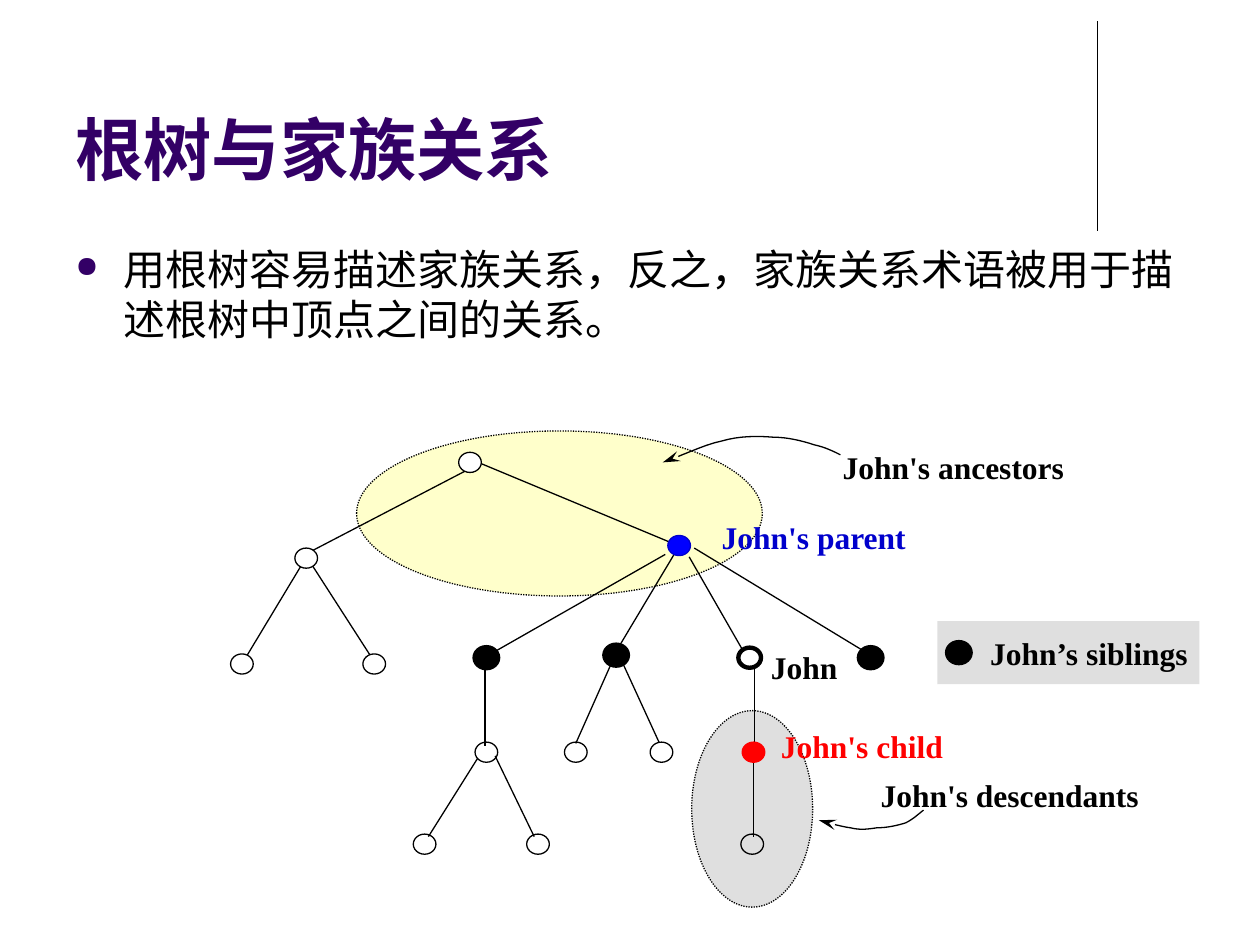
from lxml import etree
from pptx import Presentation
from pptx.dml.color import RGBColor
from pptx.enum.dml import MSO_LINE
from pptx.enum.shapes import MSO_CONNECTOR, MSO_SHAPE
from pptx.enum.text import MSO_ANCHOR, PP_ALIGN
from pptx.oxml.ns import qn
from pptx.util import Inches, Pt

OVAL = MSO_SHAPE.OVAL
RECTANGLE = MSO_SHAPE.RECTANGLE
STRAIGHT = MSO_CONNECTOR.STRAIGHT
DOTTED = MSO_LINE.ROUND_DOT
BOTTOM = MSO_ANCHOR.BOTTOM
LEFT = PP_ALIGN.LEFT
JUSTIFY = PP_ALIGN.JUSTIFY

BLACK = RGBColor(0x00, 0x00, 0x00)
WHITE = RGBColor(0xFF, 0xFF, 0xFF)
PURPLE = RGBColor(0x33, 0x00, 0x66)
GRAY = RGBColor(0xC0, 0xC0, 0xC0)
YELLOW = RGBColor(0xFF, 0xFF, 0x99)
BLUE = RGBColor(0x00, 0x00, 0xFF)
DARK_BLUE = RGBColor(0x00, 0x00, 0xCC)
RED = RGBColor(0xFF, 0x00, 0x00)

prs = Presentation()
prs.slide_width = Inches(10)
prs.slide_height = Inches(7.5)
slide = prs.slides.add_slide(prs.slide_layouts[6])
shapes = slide.shapes


def add_text(box, text, size, font, color, bold):
    left, top, width, height = box
    frame = shapes.add_textbox(Inches(left), Inches(top), Inches(width), Inches(height)).text_frame
    frame.word_wrap = True
    run = frame.paragraphs[0].add_run()
    run.text = text
    run.font.size = Pt(size)
    run.font.name = font
    run.font.bold = bold
    run.font.color.rgb = color
    return frame


def add_figure(kind, box, fill, line, weight):
    left, top, width, height = box
    figure = shapes.add_shape(kind, Inches(left), Inches(top), Inches(width), Inches(height))
    figure.shadow.inherit = False
    if fill is None:
        figure.fill.background()
    else:
        figure.fill.solid()
        figure.fill.fore_color.rgb = fill
    if line is None:
        figure.line.fill.background()
    else:
        figure.line.color.rgb = line
        figure.line.width = Pt(weight)
    return figure


title = add_text((0.5, 0.13, 8.25, 1.42), "根树与家族关系", 39, "Arial", PURPLE, True)
title.vertical_anchor = BOTTOM

body = add_text((0.5, 1.88, 9, 1), "用根树容易描述家族关系，反之，家族关系术语被用于描述根树中顶点之间的关系。",
                24, "Arial", BLACK, False)
bullet = body.paragraphs[0]._p.get_or_add_pPr()
bullet.set("marL", str(Inches(0.38)))
bullet.set("indent", str(Inches(-0.38)))
bullet_color = etree.SubElement(bullet, qn("a:buClr"))
etree.SubElement(bullet_color, qn("a:srgbClr"), val=str(PURPLE))
etree.SubElement(bullet, qn("a:buSzPct"), val="70000")
etree.SubElement(bullet, qn("a:buChar"), char="●")

regions = [
    (OVAL, (5.49, 5.64, 0.96, 1.56), GRAY, BLACK),
    (OVAL, (2.83, 3.42, 3.22, 1.31), YELLOW, BLACK),
    (RECTANGLE, (7.44, 4.93, 2.08, 0.5), GRAY, None),
]
for kind, box, fill, outline in regions:
    region = add_figure(kind, box, fill, outline, 0.75)
    if outline is not None:
        region.line.dash_style = DOTTED
    tint = region._element.spPr.find(qn("a:solidFill"))[0]
    etree.SubElement(tint, qn("a:alpha"), val="50000")

divider = (8.71, 0.17, 8.71, 1.83)
tree_edges = [
    (3.82, 3.68, 5.31, 4.3), (3.69, 3.74, 2.48, 4.37),
    (2.39, 4.49, 1.95, 5.22), (2.48, 4.49, 2.95, 5.22),
    (5.28, 4.4, 3.93, 5.17), (5.35, 4.4, 4.92, 5.12),
    (5.47, 4.42, 5.9, 5.17), (5.51, 4.35, 6.86, 5.17),
    (3.85, 5.28, 3.85, 5.92), (4.85, 5.27, 4.57, 5.9),
    (4.95, 5.28, 5.23, 5.89), (5.99, 5.28, 5.99, 5.9),
    (3.79, 6.02, 3.4, 6.64), (3.93, 6, 4.24, 6.64),
    (5.98, 6.03, 5.98, 6.64),
]
for x1, y1, x2, y2 in [divider] + tree_edges:
    edge = shapes.add_connector(STRAIGHT, Inches(x1), Inches(y1), Inches(x2), Inches(y2))
    edge.line.color.rgb = BLACK
    edge.line.width = Pt(0.75)
    etree.SubElement(edge._element.spPr, qn("a:effectLst"))

node_groups = [
    (WHITE, BLACK, 0.75, [(3.64, 3.59), (2.34, 4.35), (1.83, 5.19), (2.88, 5.19)]),
    (BLUE, DARK_BLUE, 0.75, [(5.3, 4.25)]),
    (BLACK, BLACK, 3, [(3.77, 5.14), (4.8, 5.12), (6.82, 5.14), (7.52, 5.1)]),
    (None, BLACK, 2.5, [(5.86, 5.14)]),
    (RED, RED, 0.75, [(5.89, 5.89)]),
    (None, BLACK, 0.75, [(3.77, 5.89), (4.48, 5.89), (5.16, 5.89),
                         (3.28, 6.62), (4.18, 6.62), (5.88, 6.62)]),
]
for fill, outline, weight, places in node_groups:
    for left, top in places:
        add_figure(OVAL, (left, top, 0.18, 0.16), fill, outline, weight)

labels = [
    ("John", (6.02, 5.09, 0.85, 0.42), BLACK, JUSTIFY),
    ("John's child", (6.1, 5.72, 1.77, 0.42), RED, JUSTIFY),
    ("John's parent", (5.63, 4.06, 1.97, 0.42), DARK_BLUE, JUSTIFY),
    ("John's ancestors", (6.59, 3.51, 2.5, 0.42), BLACK, JUSTIFY),
    ("John's descendants", (6.89, 6.11, 2.58, 0.42), BLACK, JUSTIFY),
    ("John’s siblings", (7.76, 4.98, 1.92, 0.4), BLACK, LEFT),
]
for text, box, color, alignment in labels:
    label = add_text(box, text, 18, "Times New Roman", color, True)
    label.paragraphs[0].alignment = alignment

ancestors_curve = [
    (6.67, 3.61), (6.61, 3.58), (6.55, 3.55), (6.46, 3.53), (6.37, 3.5), (6.25, 3.47), (6.13, 3.47),
    (6.01, 3.46), (5.87, 3.46), (5.73, 3.5), (5.58, 3.53), (5.36, 3.64), (5.26, 3.67),
]
descendants_curve = [
    (7.33, 6.43), (7.29, 6.46), (7.25, 6.5), (7.19, 6.53), (7.13, 6.55), (7.04, 6.57), (6.96, 6.57),
    (6.89, 6.58), (6.83, 6.59), (6.75, 6.57), (6.67, 6.56), (6.54, 6.52), (6.5, 6.51),
]
STEPS = 8
for curve in (ancestors_curve, descendants_curve):
    points = []
    for start in range(0, len(curve) - 1, 3):
        for step in range(1, STEPS + 1):
            t = step / STEPS
            weights = ((1 - t) ** 3, 3 * t * (1 - t) ** 2, 3 * t ** 2 * (1 - t), t ** 3)
            controls = curve[start:start + 4]
            points.append(tuple(Inches(sum(w * p[axis] for w, p in zip(weights, controls)))
                                for axis in (0, 1)))
    builder = shapes.build_freeform(Inches(curve[0][0]), Inches(curve[0][1]))
    builder.add_line_segments(points, close=False)
    arrow = builder.convert_to_shape()
    arrow.shadow.inherit = False
    arrow.fill.background()
    arrow.line.color.rgb = BLACK
    arrow.line.width = Pt(0.75)
    etree.SubElement(arrow.line._get_or_add_ln(), qn("a:tailEnd"), type="stealth", w="med", len="lg")

prs.save("out.pptx")
